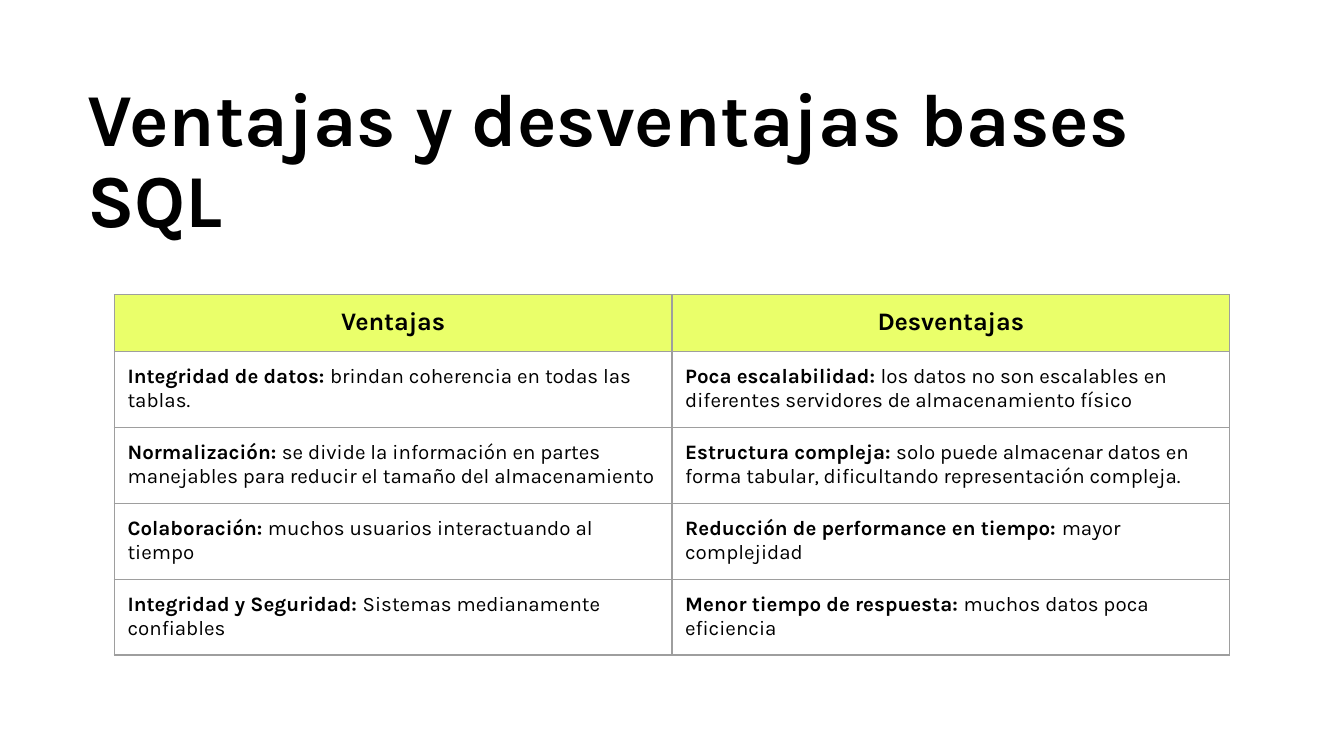
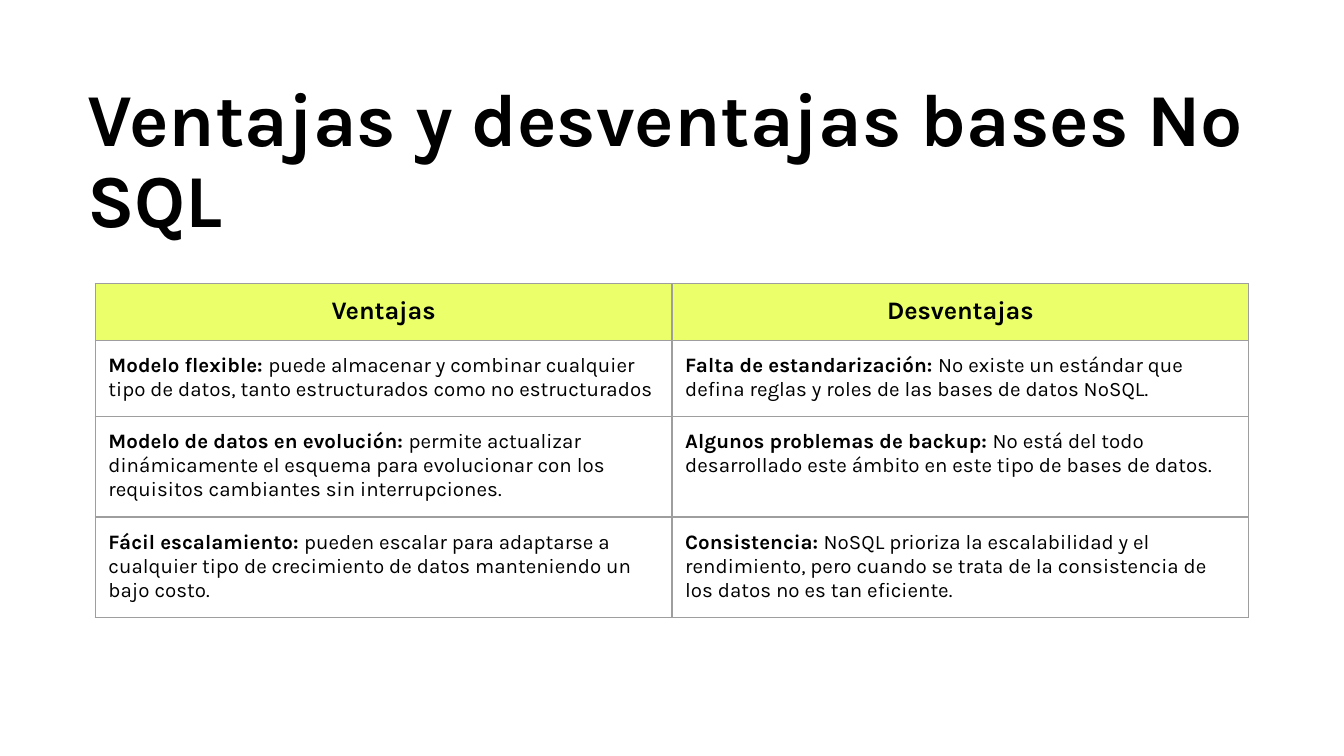
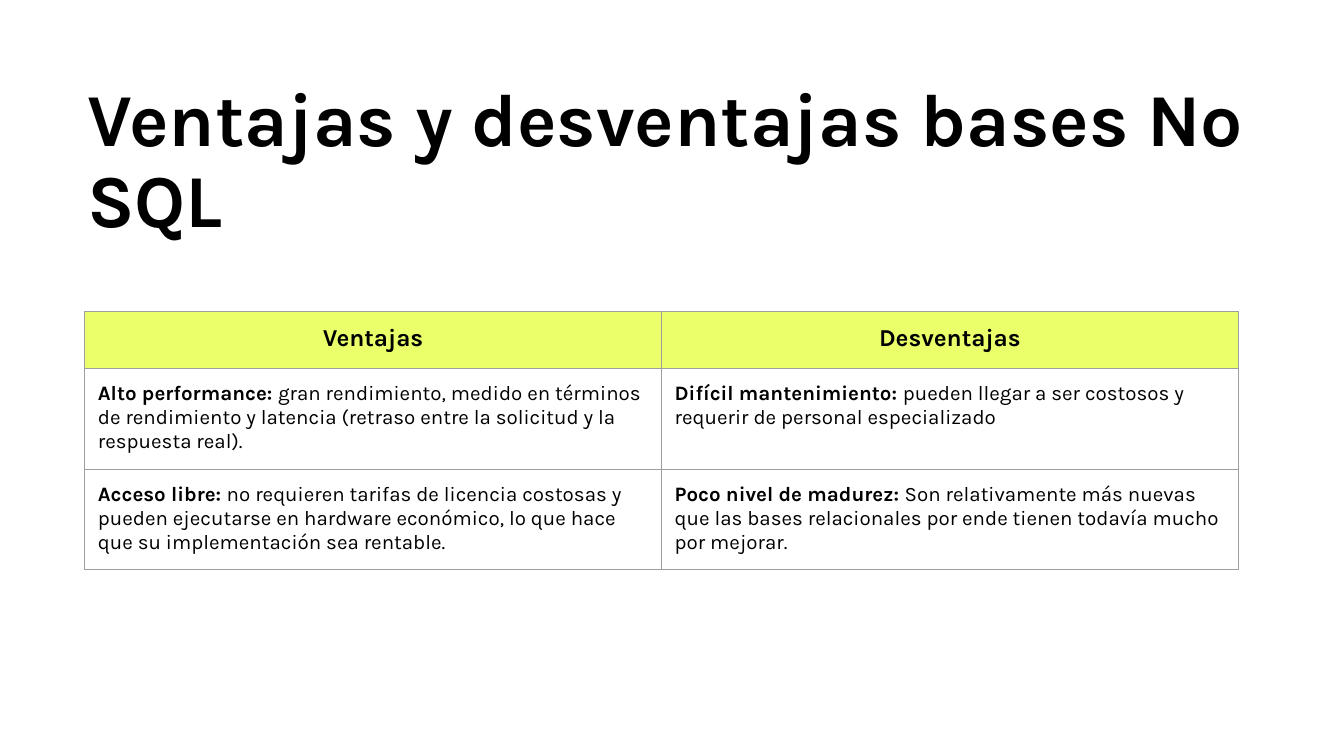
"""Build three slides comparing the pros and cons of SQL and NoSQL databases."""
from dataclasses import dataclass
from typing import Any

import pptx
import pptx.dml.color
import pptx.enum.text
import pptx.oxml
import pptx.oxml.ns
import pptx.slide
import pptx.util
from pptx.util import Cm

FONT = "Karla"
COLOURS = {"text": "000000", "header": "EAFF6A", "border": "9E9E9E", "background": "FFFFFF"}
HEADINGS = ("Ventajas", "Desventajas")
INSET = Cm(0.25)
BORDER_WIDTH = pptx.util.Pt(0.75)
HEADER_HEIGHT = Cm(1.08)
TWO_LINES = Cm(1.43)
THREE_LINES = Cm(1.9)


@dataclass(frozen=True)
class Point:
    label: str
    detail: str


@dataclass(frozen=True)
class Comparison:
    height: int
    advantage: Point
    drawback: Point


@dataclass(frozen=True)
class ComparisonSlide:
    title: str
    left: int
    top: int
    column_width: int
    heading_size: float
    comparisons: tuple[Comparison, ...]


SLIDES = (
    ComparisonSlide("Ventajas y desventajas bases SQL", Cm(2.16), Cm(5.57), Cm(10.54), 13.5, (
        Comparison(
            TWO_LINES,
            Point("Integridad de datos: ", "brindan coherencia en todas las tablas."),
            Point("Poca escalabilidad: ",
                  "los datos no son escalables en diferentes servidores de almacenamiento físico")),
        Comparison(
            TWO_LINES,
            Point("Normalización: ",
                  "se divide la información en partes manejables para reducir el tamaño "
                  "del almacenamiento"),
            Point("Estructura compleja: ",
                  "solo puede almacenar datos en forma tabular, dificultando "
                  "representación compleja.")),
        Comparison(
            TWO_LINES,
            Point("Colaboración: ", "muchos usuarios interactuando al tiempo"),
            Point("Reducción de performance en tiempo: ", "mayor complejidad")),
        Comparison(
            TWO_LINES,
            Point("Integridad y Seguridad: ", "Sistemas medianamente confiables"),
            Point("Menor tiempo de respuesta: ", "muchos datos poca eficiencia")),
    )),
    ComparisonSlide("Ventajas y desventajas bases No SQL", Cm(1.8), Cm(5.36), Cm(10.9), 13.5, (
        Comparison(
            TWO_LINES,
            Point("Modelo flexible: ",
                  "puede almacenar y combinar cualquier tipo de datos, tanto estructurados "
                  "como no estructurados"),
            Point("Falta de estandarización: ",
                  "No existe un estándar que defina reglas y roles de las bases de datos NoSQL.")),
        Comparison(
            THREE_LINES,
            Point("Modelo de datos en evolución: ",
                  "permite actualizar dinámicamente el esquema para evolucionar con los "
                  "requisitos cambiantes sin interrupciones."),
            Point("Algunos problemas de backup: ",
                  "No está del todo desarrollado este ámbito en este tipo de bases de datos.")),
        Comparison(
            THREE_LINES,
            Point("Fácil escalamiento: ",
                  "pueden escalar para adaptarse a cualquier tipo de crecimiento de datos "
                  "manteniendo un bajo costo."),
            Point("Consistencia: ",
                  "NoSQL prioriza la escalabilidad y el rendimiento, pero cuando se trata de la "
                  "consistencia de los datos no es tan eficiente.")),
    )),
    ComparisonSlide("Ventajas y desventajas bases No SQL", Cm(1.6), Cm(5.89), Cm(10.9), 13, (
        Comparison(
            THREE_LINES,
            Point("Alto performance: ",
                  "gran rendimiento, medido en términos de rendimiento y latencia (retraso entre "
                  "la solicitud y la respuesta real)."),
            Point("Difícil mantenimiento: ",
                  "pueden llegar a ser costosos y requerir de personal especializado")),
        Comparison(
            THREE_LINES,
            Point("Acceso libre: ",
                  "no requieren tarifas de licencia costosas y pueden ejecutarse en hardware "
                  "económico, lo que hace que su implementación sea rentable."),
            Point("Poco nivel de madurez: ",
                  "Son relativamente más nuevas que las bases relacionales por ende tienen "
                  "todavía mucho por mejorar.")),
    )),
)


def colour(name: str) -> pptx.dml.color.RGBColor:
    return pptx.dml.color.RGBColor.from_string(COLOURS[name])


def add_text(paragraph: Any, text: str, *, size: float = 11, bold: bool = False) -> None:
    run = paragraph.add_run()
    run.text = text
    run.font.name = FONT
    run.font.size = pptx.util.Pt(size)
    run.font.bold = bold
    run.font.color.rgb = colour("text")


def add_title(slide: pptx.slide.Slide, text: str) -> None:
    title = slide.shapes.add_textbox(Cm(1.4), Cm(1.3), Cm(22.6), Cm(3.58)).text_frame
    title.word_wrap = True
    title.auto_size = pptx.enum.text.MSO_AUTO_SIZE.SHAPE_TO_FIT_TEXT
    title.margin_left = title.margin_right = title.margin_top = title.margin_bottom = INSET
    title.paragraphs[0].line_spacing = 0.9
    add_text(title.paragraphs[0], text, size=40, bold=True)


def format_cell(cell: Any) -> None:
    cell.margin_left = cell.margin_right = cell.margin_top = cell.margin_bottom = INSET
    properties = cell._tc.get_or_add_tcPr()
    for side in ("lnL", "lnR", "lnT", "lnB"):
        properties.append(pptx.oxml.parse_xml(
            f'<a:{side} {pptx.oxml.ns.nsdecls("a")} w="{BORDER_WIDTH}"><a:solidFill>'
            f'<a:srgbClr val="{COLOURS["border"]}"/></a:solidFill></a:{side}>'))
    cell.fill.background()


def add_comparison_table(slide: pptx.slide.Slide, content: ComparisonSlide) -> None:
    heights = [HEADER_HEIGHT, *(comparison.height for comparison in content.comparisons)]
    table = slide.shapes.add_table(
        len(heights), len(HEADINGS), content.left, content.top,
        content.column_width * len(HEADINGS), sum(heights)).table
    table.first_row = table.horz_banding = False
    for column in table.columns:
        column.width = content.column_width
    for row, height in zip(table.rows, heights):
        row.height = height
    for cell in table.iter_cells():
        format_cell(cell)

    for column_index, heading in enumerate(HEADINGS):
        cell = table.cell(0, column_index)
        cell.fill.solid()
        cell.fill.fore_color.rgb = colour("header")
        paragraph = cell.text_frame.paragraphs[0]
        paragraph.alignment = pptx.enum.text.PP_ALIGN.CENTER
        add_text(paragraph, heading, size=content.heading_size, bold=True)

    for row_index, comparison in enumerate(content.comparisons, start=1):
        for column_index, point in enumerate((comparison.advantage, comparison.drawback)):
            paragraph = table.cell(row_index, column_index).text_frame.paragraphs[0]
            add_text(paragraph, point.label, bold=True)
            add_text(paragraph, point.detail)


def main() -> None:
    presentation = pptx.Presentation()
    presentation.slide_width = Cm(25.4)
    presentation.slide_height = Cm(14.29)
    for content in SLIDES:
        slide = presentation.slides.add_slide(presentation.slide_layouts[6])
        slide.background.fill.solid()
        slide.background.fill.fore_color.rgb = colour("background")
        add_title(slide, content.title)
        add_comparison_table(slide, content)
    presentation.save("out.pptx")


if __name__ == "__main__":
    main()
